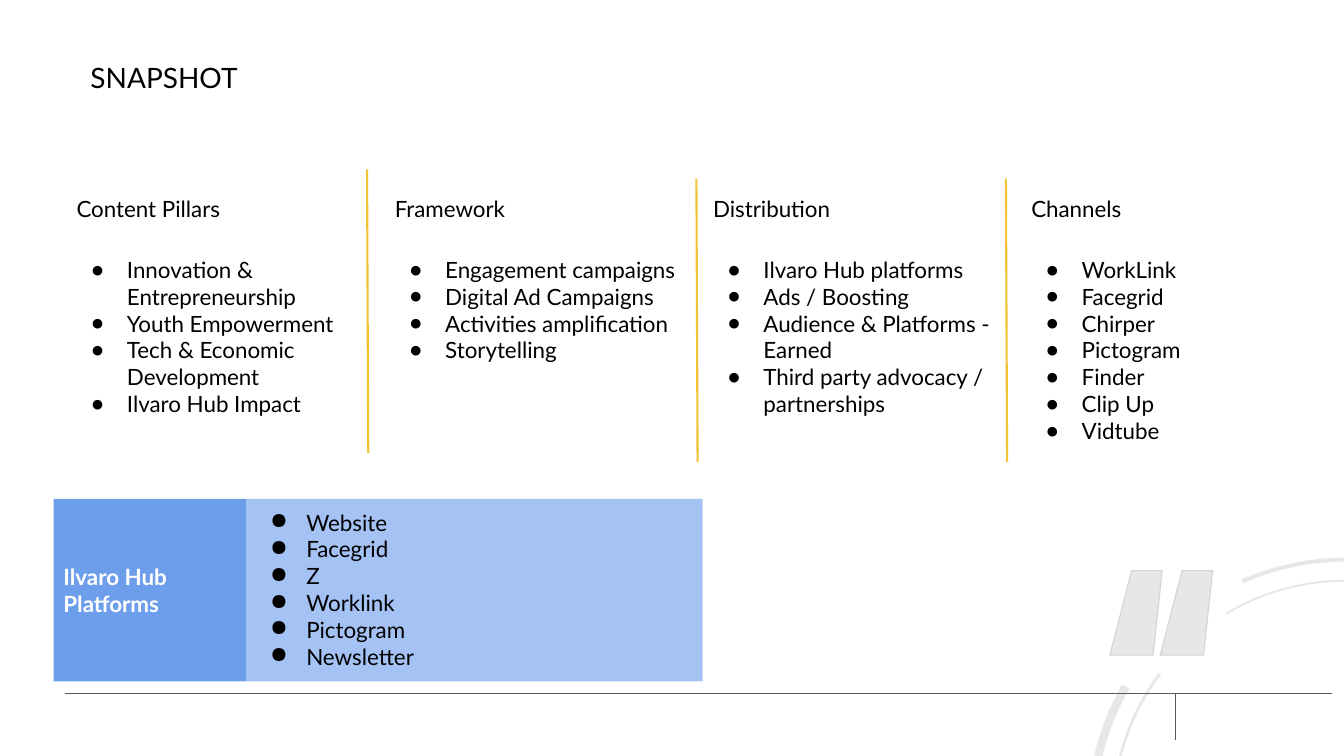
from dataclasses import dataclass
from math import cos, radians, sin

from lxml.etree import SubElement
from pptx import Presentation
from pptx.dml.color import RGBColor
from pptx.enum.shapes import MSO_CONNECTOR, MSO_SHAPE
from pptx.enum.text import MSO_ANCHOR, MSO_AUTO_SIZE, PP_ALIGN
from pptx.oxml.ns import qn
from pptx.shapes.autoshape import Shape
from pptx.slide import Slide
from pptx.util import Cm, Pt

COLORS = {
    "text": "000000",
    "white": "FFFFFF",
    "divider": "F1C232",
    "rule": "595959",
    "ornament": "E6E7E8",
    "quote_edge": "D2D3D5",
    "label": "6D9EEB",
    "panel": "A4C2F4",
}
FONT = "Lato"


@dataclass
class Column:
    heading: str
    items: list[str]


@dataclass
class Line:
    start: tuple[float, float]
    end: tuple[float, float]
    color: str
    width: float


@dataclass
class Arc:
    outer: float
    inner: float
    first: int
    last: int


COLUMNS = [
    Column("Content Pillars", ["Innovation & Entrepreneurship", "Youth Empowerment",
                               "Tech & Economic Development", "Ilvaro Hub Impact"]),
    Column("Framework", ["Engagement campaigns", "Digital Ad Campaigns",
                         "Activities amplification", "Storytelling"]),
    Column("Distribution", ["Ilvaro Hub platforms", "Ads / Boosting",
                            "Audience & Platforms - Earned",
                            "Third party advocacy / partnerships"]),
    Column("Channels", ["WorkLink", "Facegrid", "Chirper", "Pictogram",
                        "Finder", "Clip Up", "Vidtube"]),
]
PLATFORMS = ["Website", "Facegrid", "Z", "Worklink", "Pictogram", "Newsletter"]
COLUMN_LEFT, COLUMN_WIDTH = 1.68, 8.02

DIVIDERS = [Line((x, y), (x + 0.03, y + 7.14), "divider", 1.5)
            for x, y in [(9.25, 4.27), (17.55, 4.5), (25.35, 4.5)]]
RULES = [Line((29.62, 17.5), (29.62, 18.64), "rule", 0.75),
         Line((1.65, 17.48), (33.58, 17.48), "rule", 0.75)]

ARC_CENTER = (33.91, 20.5)
ARCS = [Arc(6.5, 6.29, 13, 30), Arc(5.89, 5.82, 14, 37),
        Arc(5.89, 5.84, 59, 90), Arc(6.45, 6.35, 66, 90)]
QUOTE_MARK = [(28.52, 14.38), (29.29, 14.38), (29.06, 16.51), (27.97, 16.51)]
QUOTE_GAP = 1.27


def rgb(name: str) -> RGBColor:
    return RGBColor.from_string(COLORS[name])


def place(shape: Shape, left: float, top: float, width: float, height: float) -> None:
    shape.left, shape.top = Cm(left), Cm(top)
    shape.width, shape.height = Cm(width), Cm(height)


def write(shape: Shape, lines: list[str], size: int = 16, color: str = "text",
          bold: bool = False, bullets: bool = False,
          anchor: MSO_ANCHOR = MSO_ANCHOR.TOP) -> None:
    frame = shape.text_frame
    frame.text = "\n".join(lines)
    frame.word_wrap = True
    frame.auto_size = MSO_AUTO_SIZE.NONE
    frame.vertical_anchor = anchor
    frame.margin_left = frame.margin_right = Cm(0.25)
    frame.margin_top = frame.margin_bottom = Cm(0.25)
    for paragraph in frame.paragraphs:
        if bullets:
            properties = paragraph._p.get_or_add_pPr()
            properties.set("marL", str(Cm(1.27)))
            properties.set("indent", str(Cm(-0.91)))
            bullet_color = SubElement(properties, qn("a:buClr"))
            SubElement(bullet_color, qn("a:srgbClr")).set("val", COLORS["text"])
            SubElement(properties, qn("a:buChar")).set("char", "●")
        paragraph.alignment = PP_ALIGN.LEFT
        paragraph.space_before = Pt(0)
        paragraph.line_spacing = 1.0
        for run in paragraph.runs:
            run.font.name = FONT
            run.font.size = Pt(size)
            run.font.bold = bold
            run.font.color.rgb = rgb(color)


def draw_polygon(slide: Slide, points: list[tuple[float, float]], fill: str,
                 edge: str | None = None) -> None:
    corners = [(Cm(x), Cm(y)) for x, y in points]
    builder = slide.shapes.build_freeform(*corners[0])
    builder.add_line_segments(corners[1:], close=True)
    polygon = builder.convert_to_shape()
    polygon.shadow.inherit = False
    polygon.fill.solid()
    polygon.fill.fore_color.rgb = rgb(fill)
    if edge:
        polygon.line.color.rgb = rgb(edge)
        polygon.line.width = Pt(0.75)
    else:
        polygon.line.fill.background()


def draw_arc(slide: Slide, arc: Arc) -> None:
    def point(radius: float, angle: int) -> tuple[float, float]:
        return (ARC_CENTER[0] - radius * cos(radians(angle)),
                ARC_CENTER[1] - radius * sin(radians(angle)))

    angles = range(arc.first, arc.last + 1)
    draw_polygon(slide, [point(arc.outer, a) for a in angles]
                 + [point(arc.inner, a) for a in reversed(angles)], "ornament")


def draw_line(slide: Slide, line: Line) -> None:
    connector = slide.shapes.add_connector(
        MSO_CONNECTOR.STRAIGHT, *(Cm(v) for v in line.start + line.end))
    connector.line.color.rgb = rgb(line.color)
    connector.line.width = Pt(line.width)
    SubElement(connector._element.spPr, qn("a:effectLst"))


def add_block(slide: Slide, left: float, width: float, fill: str) -> Shape:
    block = slide.shapes.add_shape(
        MSO_SHAPE.RECTANGLE, Cm(left), Cm(12.57), Cm(width), Cm(4.6))
    block.shadow.inherit = False
    block.fill.solid()
    block.fill.fore_color.rgb = rgb(fill)
    block.line.fill.background()
    return block


def main() -> None:
    presentation = Presentation()
    presentation.slide_width, presentation.slide_height = Cm(33.87), Cm(19.05)
    # The comparison layout offers a title and four body placeholders
    slide = presentation.slides.add_slide(presentation.slide_layouts[4])
    title, *bodies = slide.placeholders

    # Corner ornament
    for arc in ARCS:
        draw_arc(slide, arc)
    for shift in (0, QUOTE_GAP):
        draw_polygon(slide, [(x + shift, y) for x, y in QUOTE_MARK],
                     "ornament", "quote_edge")

    # Footer rules
    for rule in RULES:
        draw_line(slide, rule)

    # Title
    place(title, 2.03, 1.27, 21.26, 1.37)
    write(title, ["SNAPSHOT"], size=20)

    # Four columns
    for index, (column, body) in enumerate(zip(COLUMNS, bodies)):
        left = COLUMN_LEFT + index * COLUMN_WIDTH
        heading = slide.shapes.add_textbox(Cm(left), Cm(4.67), Cm(COLUMN_WIDTH), Cm(1.55))
        write(heading, [column.heading])
        place(body, left, 6.2, COLUMN_WIDTH, 5.41)
        write(body, column.items, bullets=True)

    # Platforms band
    write(add_block(slide, 6.2, 11.51, "panel"), PLATFORMS, bullets=True)
    write(add_block(slide, 1.35, 4.85, "label"), ["Ilvaro Hub Platforms"],
          color="white", bold=True, anchor=MSO_ANCHOR.MIDDLE)

    # Column dividers
    for divider in DIVIDERS:
        draw_line(slide, divider)

    presentation.save("out.pptx")


if __name__ == "__main__":
    main()
